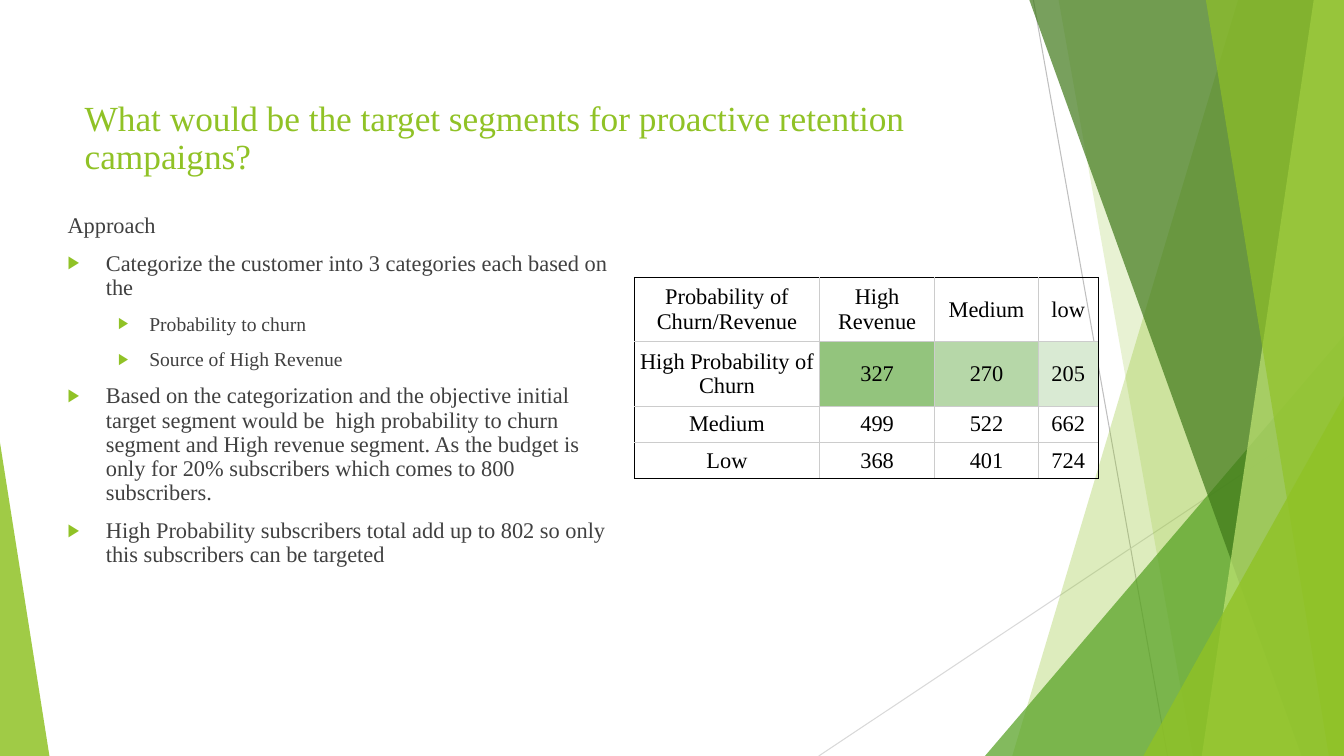
from lxml.etree import SubElement
from pptx import Presentation
from pptx.dml.color import RGBColor
from pptx.enum.shapes import MSO_CONNECTOR as Connector, MSO_SHAPE as Shape
from pptx.enum.text import MSO_ANCHOR as Anchor, MSO_AUTO_SIZE as AutoSize, PP_ALIGN as Align
from pptx.oxml.ns import qn
from pptx.util import Inches, Pt

WIDTH, HEIGHT = Inches(13.33), Inches(7.5)
FONT = "Times New Roman"
COLORS = {
    "lime": "90C226", "leaf": "54A021", "forest": "3F7819", "pale": "C0E474",
    "text": "404040", "black": "000000", "grid": "CCCCCC",
    "steep line": "BFBFBF", "flat line": "D9D9D9",
    "strong": "93C47D", "medium": "B6D7A8", "light": "D9EAD3",
}

TITLE = "What would be the target segments for proactive retention campaigns?"
# Level None is a plain heading; 0 and 1 are bulleted
APPROACH = [
    (None, "Approach"),
    (0, "Categorize the customer into 3 categories each based on the"),
    (1, "Probability to churn"),
    (1, "Source of High Revenue"),
    (0, "Based on the categorization and the objective initial target segment "
        "would be  high probability to churn segment and High revenue segment. "
        "As the budget is only for 20% subscribers which comes to 800 subscribers."),
    (0, "High Probability subscribers total add up to 802 so only this "
        "subscribers can be targeted"),
]
LEVELS = {None: (16, 0, 0), 0: (16, 0.38, -0.38), 1: (14, 0.81, -0.31)}  # size, margin, indent

SEGMENTS = [
    ["Probability of Churn/Revenue", "High Revenue", "Medium", "low"],
    ["High Probability of Churn", "327", "270", "205"],
    ["Medium", "499", "522", "662"],
    ["Low", "368", "401", "724"],
]
TARGET_ROW = 1
TARGET_FILLS = [None, "strong", "medium", "light"]
COLUMN_SHARES = [13.8, 8.55, 7.73, 4.43]
ROW_SHARES = [8.53, 8.53, 4.8, 4.8]

# Panels run from a point on the top edge to one on the bottom edge
PANELS_BEHIND = [(92.12, 75.32, "lime", 30), (78.77, 88.75, "lime", 20)]
PANELS_FRONT = [(76.59, 96.85, "forest", 70), (97.75, 89.42, "pale", 70),
                (89.72, 98.87, "lime", 65)]


def across(share):
    """Percentage of the slide's width."""
    return round(WIDTH * share / 100)


def down(share):
    """Percentage of the slide's height."""
    return round(HEIGHT * share / 100)


def rgb(name):
    return RGBColor.from_string(COLORS[name])


def add_span(para, text, size, color):
    span = para.add_run()
    span.text = text
    span.font.name, span.font.size = FONT, Pt(size)
    span.font.color.rgb = rgb(color)


# Background facets
def paint(shape, color, opacity):
    shape.shadow.inherit = False
    shape.line.fill.background()
    shape.fill.solid()
    shape.fill.fore_color.rgb = rgb(color)
    tint = shape.fill._xPr.find(".//" + qn("a:srgbClr"))
    SubElement(tint, qn("a:alpha"), val=str(opacity * 1000))


def add_panel(page, top_x, bottom_x, color, opacity):
    outline = page.shapes.build_freeform(across(top_x), 0)
    outline.add_line_segments([(WIDTH, 0), (WIDTH, HEIGHT), (across(bottom_x), HEIGHT)])
    paint(outline.convert_to_shape(), color, opacity)


def add_corner(page, left, top, width, apex, color, opacity):
    corner = page.shapes.add_shape(Shape.ISOSCELES_TRIANGLE, across(left), down(top),
                                   across(width), down(100 - top))
    corner.adjustments[0] = apex
    paint(corner, color, opacity)


def add_hairline(page, start, end, color):
    line = page.shapes.add_connector(Connector.STRAIGHT, across(start[0]), down(start[1]),
                                     across(end[0]), down(end[1]))
    line.line.color.rgb = rgb(color)
    line.line.width = Pt(0.75)
    SubElement(line._element.spPr, qn("a:effectLst"))


def add_facets(page):
    add_hairline(page, (76.89, 0), (86.87, 100), "steep line")
    add_hairline(page, (100, 53.73), (60.92, 100), "flat line")
    for panel in PANELS_BEHIND:
        add_panel(page, *panel)
    add_corner(page, 73.29, 44.4, 26.71, 1, "leaf", 72)
    for panel in PANELS_FRONT:
        add_panel(page, *panel)
    add_corner(page, 85.07, 52.4, 14.93, 1, "lime", 80)
    add_corner(page, 0, 58.53, 3.68, 0, "lime", 85)


# Title and list
def place(box, left, top, width, height):
    box.left, box.top = across(left), down(top)
    box.width, box.height = across(width), down(height)
    frame = box.text_frame
    frame.word_wrap, frame.auto_size = True, AutoSize.NONE
    frame.vertical_anchor = Anchor.TOP
    box._element.getparent().append(box._element)  # bring to front
    return frame


def fill_title(box):
    para = place(box, 5.55, 12.67, 70.52, 13.07).paragraphs[0]
    para.alignment, para.line_spacing = Align.LEFT, 0.9
    add_span(para, TITLE, 25.2, "lime")


def set_bullet(para, level):
    _, margin, indent = LEVELS[level]
    props = para._p.get_or_add_pPr()
    props.set("marL", str(Inches(margin)))
    props.set("indent", str(Inches(indent)))
    if level is None:
        SubElement(props, qn("a:buNone"))
        return
    SubElement(SubElement(props, qn("a:buClr")), qn("a:srgbClr"), val=COLORS["lime"])
    SubElement(props, qn("a:buSzPct"), val="80000")
    SubElement(props, qn("a:buChar"), char="\u25b6")


def fill_list(box):
    frame = place(box, 4.28, 27.6, 42.91, 54.67)
    for index, (level, text) in enumerate(APPROACH):
        para = frame.add_paragraph() if index else frame.paragraphs[0]
        para.level = level or 0
        para.alignment, para.line_spacing = Align.LEFT, 0.9
        para.space_before, para.space_after = Pt(10), Pt(0)
        set_bullet(para, level)
        add_span(para, text, LEVELS[level][0], "text")


# Segment table
def set_borders(cell, outer_sides):
    props = cell._tc.get_or_add_tcPr()
    for index, side in enumerate("LRTB"):
        color = "black" if side in outer_sides else "grid"
        line = SubElement(props, qn("a:ln" + side), w=str(Pt(0.75)))
        SubElement(SubElement(line, qn("a:solidFill")), qn("a:srgbClr"), val=COLORS[color])
        props.insert(index, line)  # borders precede the fill


def fill_cell(cell, text, fill, outer_sides):
    cell.vertical_anchor = Anchor.MIDDLE
    cell.margin_left = cell.margin_right = Inches(0.03)
    cell.margin_top = cell.margin_bottom = Inches(0.02)
    if fill:
        cell.fill.solid()
        cell.fill.fore_color.rgb = rgb(fill)
    else:
        cell.fill.background()
    set_borders(cell, outer_sides)
    para = cell.text_frame.paragraphs[0]
    para.alignment = Align.CENTER
    add_span(para, text, 16, "black")


def add_segments(page):
    rows, columns = len(SEGMENTS), len(SEGMENTS[0])
    table = page.shapes.add_table(rows, columns, across(47.19), down(36.67),
                                  across(sum(COLUMN_SHARES)), down(sum(ROW_SHARES))).table
    table.first_row = table.horz_banding = False
    for column, share in zip(table.columns, COLUMN_SHARES):
        column.width = across(share)
    for row, share in zip(table.rows, ROW_SHARES):
        row.height = down(share)
    for r, texts in enumerate(SEGMENTS):
        for c, text in enumerate(texts):
            edges = {"L": c == 0, "R": c == columns - 1, "T": r == 0, "B": r == rows - 1}
            outer_sides = [side for side, is_outer in edges.items() if is_outer]
            fill = TARGET_FILLS[c] if r == TARGET_ROW else None
            fill_cell(table.cell(r, c), text, fill, outer_sides)


def main():
    deck = Presentation()
    deck.slide_width, deck.slide_height = WIDTH, HEIGHT
    page = deck.slides.add_slide(deck.slide_layouts[1])
    add_facets(page)
    fill_title(page.shapes.title)
    fill_list(page.placeholders[1])
    add_segments(page)
    deck.save("out.pptx")


main()
